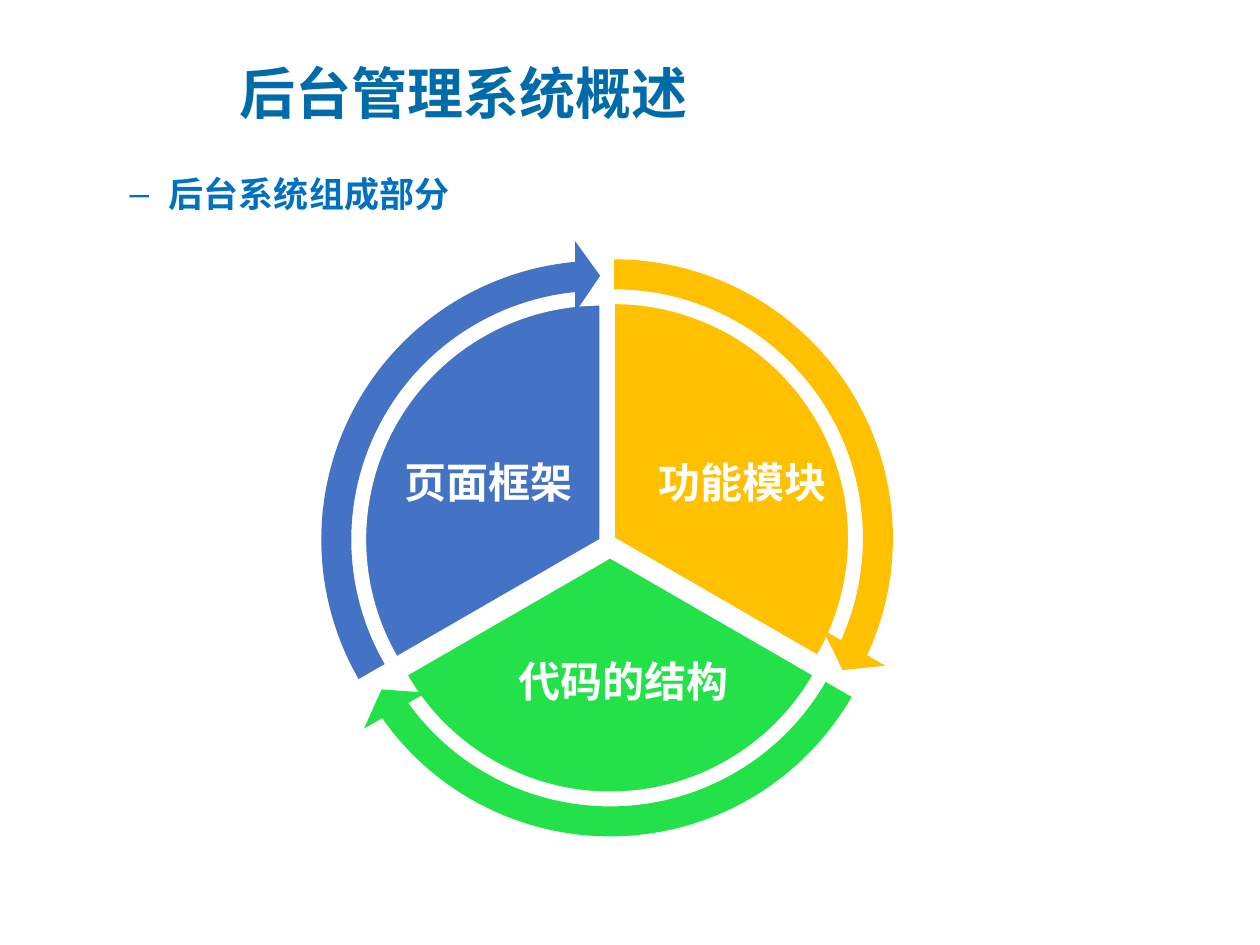
from dataclasses import dataclass

from pptx import Presentation
from pptx.dml.color import RGBColor
from pptx.enum import shapes, text
from pptx.oxml.ns import qn
from pptx.oxml.xmlchemy import OxmlElement
from pptx.util import Cm, Pt


@dataclass(frozen=True)
class Theme:
    font: str = "Noto Sans CJK SC"
    list_font: str = "Arial"
    title_size: int = 32
    list_size: int = 20
    label_size: int = 24
    title: str = "006BA9"
    list: str = "0070C0"
    white: str = "FFFFFF"
    yellow: str = "FFC000"
    green: str = "23E148"
    blue: str = "4472C4"


@dataclass(frozen=True)
class Sector:
    """One third of the cycle; lengths in cm, angles in degrees."""
    label: str
    color: str
    center: tuple[float, float]
    start: float
    end: float
    label_left: float
    label_top: float
    label_width: float


THEME = Theme()
PIE_DIAMETER = 9.47
RING_DIAMETER = 12.09
ANGLE_UNIT = 0.6  # adjustment units per degree
HEAD_ANGLE = 3.28  # arrowhead sweep, in adjustment units
RING_THICKNESS = 0.05
HEAD_WIDTH = 0.06

SECTORS = [
    Sector("功能模块", THEME.yellow, (12.38, 10.85), 270, 30, 13.03, 9.07, 3.94),
    Sector("代码的结构", THEME.green, (12.3, 11.24), 30, 150, 10.21, 13.08, 4.8),
    Sector("页面框架", THEME.blue, (12.1, 10.88), 150, 270, 7.9, 9.07, 3.94),
]


def place(shape, left: float, top: float, width: float, height: float) -> None:
    shape.left, shape.top = Cm(left), Cm(top)
    shape.width, shape.height = Cm(width), Cm(height)


def style_paragraph(paragraph, font: str, size: int, color: str) -> None:
    paragraph.alignment = text.PP_ALIGN.LEFT
    paragraph.font.name = font
    paragraph.font.size = Pt(size)
    paragraph.font.bold = True
    paragraph.font.color.rgb = RGBColor.from_string(color)
    # Chinese characters take the East Asian typeface
    east_asian = OxmlElement("a:ea")
    east_asian.set("typeface", THEME.font)
    paragraph._p.pPr.find(qn("a:defRPr")).append(east_asian)


def add_round_shape(slide, kind, sector: Sector, diameter: float,
                    adjustments: list[float]):
    """Add a shape of the given diameter around the sector's centre."""
    x, y = sector.center
    shape = slide.shapes.add_shape(
        kind, Cm(x - diameter / 2), Cm(y - diameter / 2), Cm(diameter), Cm(diameter))
    for index, value in enumerate(adjustments):
        shape.adjustments[index] = value
    shape.shadow.inherit = False
    shape.fill.solid()
    shape.fill.fore_color.rgb = RGBColor.from_string(sector.color)
    shape.line.fill.background()
    return shape


def add_pie(slide, sector: Sector) -> None:
    pie = add_round_shape(slide, shapes.MSO_SHAPE.PIE, sector, PIE_DIAMETER,
                          [sector.start * ANGLE_UNIT, sector.end * ANGLE_UNIT])
    pie.line.color.rgb = RGBColor.from_string(THEME.white)
    pie.line.width = Pt(1)


def add_ring_arrow(slide, sector: Sector) -> None:
    add_round_shape(slide, shapes.MSO_SHAPE.CIRCULAR_ARROW, sector, RING_DIAMETER,
                    [RING_THICKNESS, HEAD_ANGLE, sector.end * ANGLE_UNIT - HEAD_ANGLE,
                     sector.start * ANGLE_UNIT, HEAD_WIDTH])


def add_label(slide, sector: Sector) -> None:
    box = slide.shapes.add_textbox(Cm(sector.label_left), Cm(sector.label_top),
                                   Cm(sector.label_width), Cm(1.28))
    box.text_frame.word_wrap = False
    box.text_frame.auto_size = text.MSO_AUTO_SIZE.SHAPE_TO_FIT_TEXT
    paragraph = box.text_frame.paragraphs[0]
    paragraph.text = sector.label
    style_paragraph(paragraph, THEME.font, THEME.label_size, THEME.white)


def fill_title(title) -> None:
    place(title, 4.57, 1.09, 13.74, 1.55)
    title.text_frame.auto_size = text.MSO_AUTO_SIZE.NONE
    title.text_frame.vertical_anchor = text.MSO_ANCHOR.MIDDLE
    paragraph = title.text_frame.paragraphs[0]
    paragraph.text = "后台管理系统概述"
    style_paragraph(paragraph, THEME.font, THEME.title_size, THEME.title)


def fill_list(body) -> None:
    place(body, 1.09, 2.92, 22.15, 1.9)
    body.text_frame.auto_size = text.MSO_AUTO_SIZE.NONE
    paragraph = body.text_frame.paragraphs[0]
    paragraph.text = "后台系统组成部分"
    paragraph.level = 1
    paragraph.line_spacing = 1.5
    style_paragraph(paragraph, THEME.list_font, THEME.list_size, THEME.list)
    # Hanging indent for the dash bullet
    properties = paragraph._p.get_or_add_pPr()
    properties.set("marL", str(Cm(2.06)))
    properties.set("indent", str(-Cm(0.79)))


def main() -> None:
    presentation = Presentation()
    presentation.slide_width, presentation.slide_height = Cm(25.4), Cm(19.05)
    slide = presentation.slides.add_slide(presentation.slide_layouts[1])

    # Heading and list
    fill_title(slide.shapes.title)
    fill_list(slide.placeholders[1])

    # Cycle diagram: sectors, then the ring, then the labels
    for draw in (add_pie, add_ring_arrow, add_label):
        for sector in SECTORS:
            draw(slide, sector)

    presentation.save("out.pptx")


if __name__ == "__main__":
    main()
